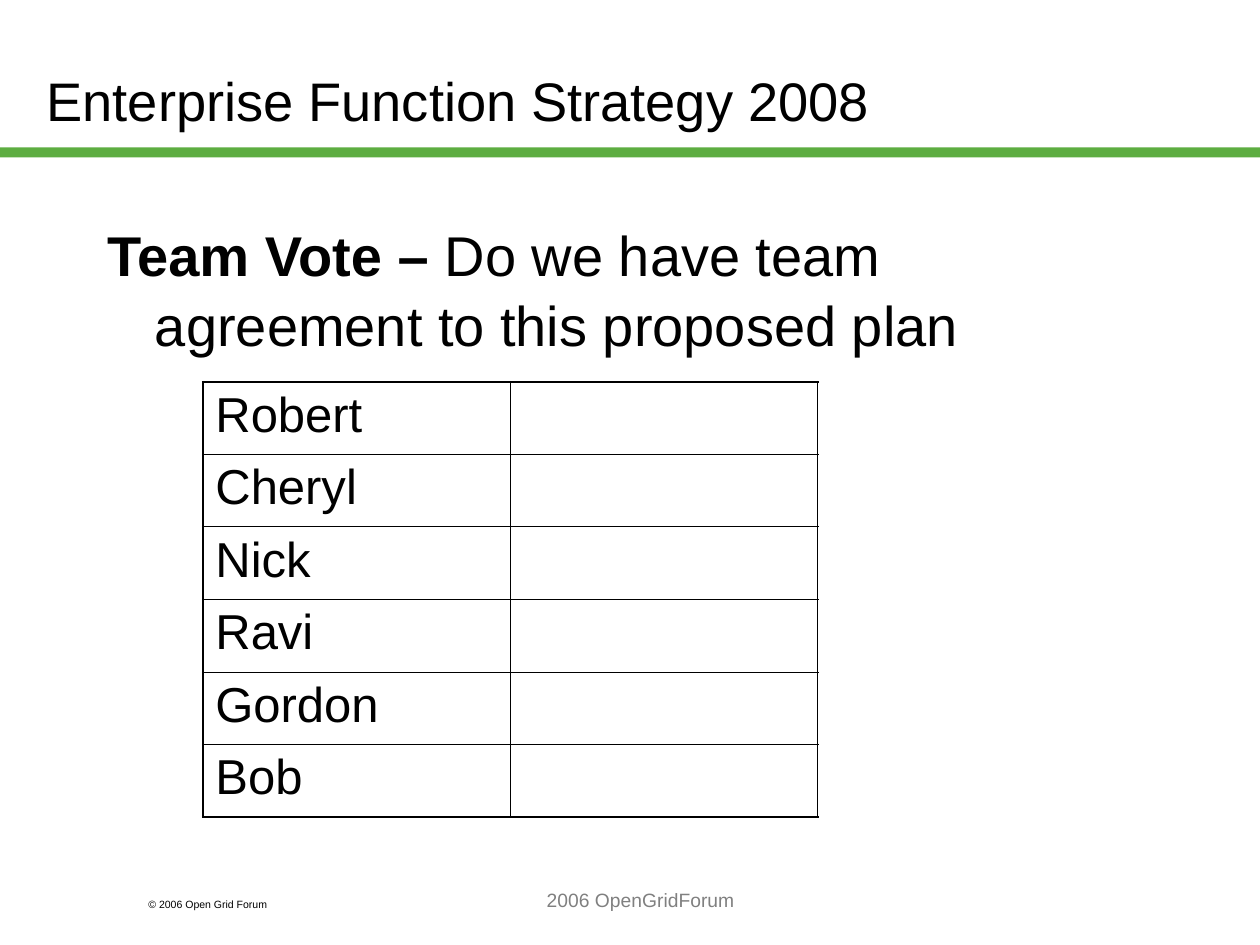
from lxml.etree import SubElement
from pptx import Presentation
from pptx.dml.color import RGBColor
from pptx.enum.shapes import MSO_SHAPE
from pptx.enum.text import MSO_ANCHOR, MSO_AUTO_SIZE, PP_ALIGN
from pptx.oxml.ns import qn
from pptx.util import Inches, Pt

HUES = {"ink": "000000", "bar": "5DAD41", "gray": "808080"}
NAMES = ["Robert", "Cheryl", "Nick", "Ravi", "Gordon", "Bob"]


def write(para, text, size, hue="ink", bold=False, align=PP_ALIGN.LEFT):
    para.alignment = align
    run = para.add_run()
    run.text = text
    font = run.font
    font.name, font.size, font.bold = "Arial", Pt(size), bold
    font.color.rgb = RGBColor.from_string(HUES[hue])


def place(shape, left, top, width, height, anchor=MSO_ANCHOR.TOP):
    shape.left, shape.top = Inches(left), Inches(top)
    shape.width, shape.height = Inches(width), Inches(height)
    frame = shape.text_frame
    frame.word_wrap = True
    frame.auto_size = MSO_AUTO_SIZE.NONE
    frame.vertical_anchor = anchor
    return frame.paragraphs[0]


deck = Presentation()
deck.slide_width, deck.slide_height = Inches(10), Inches(7.5)
slide = deck.slides.add_slide(deck.slide_layouts[1])
shapes = slide.shapes

bar = shapes.add_shape(MSO_SHAPE.RECTANGLE, 0, Inches(1.17), deck.slide_width, Inches(0.08))
bar.shadow.inherit = False
bar.fill.solid()
bar.fill.fore_color.rgb = RGBColor.from_string(HUES["bar"])
bar.line.fill.background()

title = place(shapes.title, 0.27, 0.17, 8.5, 1.25, MSO_ANCHOR.MIDDLE)
write(title, "Enterprise Function Strategy 2008", 31)

body = place(slide.placeholders[1], 0.75, 1.67, 8.5, 4.5)
props = body._p.get_or_add_pPr()
props.set("marL", str(Inches(0.38)))
props.set("indent", str(-Inches(0.38)))
SubElement(props, qn("a:buNone"))
body.space_before = Pt(0)
body.line_spacing = 1.05
write(body, "Team Vote – ", 32, bold=True)
write(body, "Do we have team agreement to this proposed plan", 32)

rows, cols = len(NAMES), 2
grid = shapes.add_table(rows, cols, Inches(1.61), Inches(3.03), Inches(4.88), Inches(3.42)).table
grid.first_row = grid.horz_banding = False
for row, name in enumerate(NAMES):
    for col in range(cols):
        cell = grid.cell(row, col)
        cell.fill.background()
        if col == 0:
            write(cell.text_frame.paragraphs[0], name, 28)
        else:
            cell.text_frame.paragraphs[0].font.size = Pt(28)
        edges = {"L": col == 0, "R": col == cols - 1, "T": row == 0, "B": row == rows - 1}
        box = cell._tc.get_or_add_tcPr()
        for spot, (side, outer) in enumerate(edges.items()):
            line = box.makeelement(qn("a:ln" + side), {"w": str(Pt(1.08 if outer else 0.45))})
            fill = SubElement(line, qn("a:solidFill"))
            SubElement(fill, qn("a:srgbClr"), val=HUES["ink"])
            box.insert(spot, line)

mark = place(shapes.add_textbox(0, 0, 0, 0), 1.08, 7.08, 1.5, 0.2)
write(mark, "© 2006 Open Grid Forum", 6)
foot = place(shapes.add_textbox(0, 0, 0, 0), 2.17, 7, 5.83, 0.5)
write(foot, "2006 OpenGridForum", 11, hue="gray", align=PP_ALIGN.CENTER)

deck.save("out.pptx")
